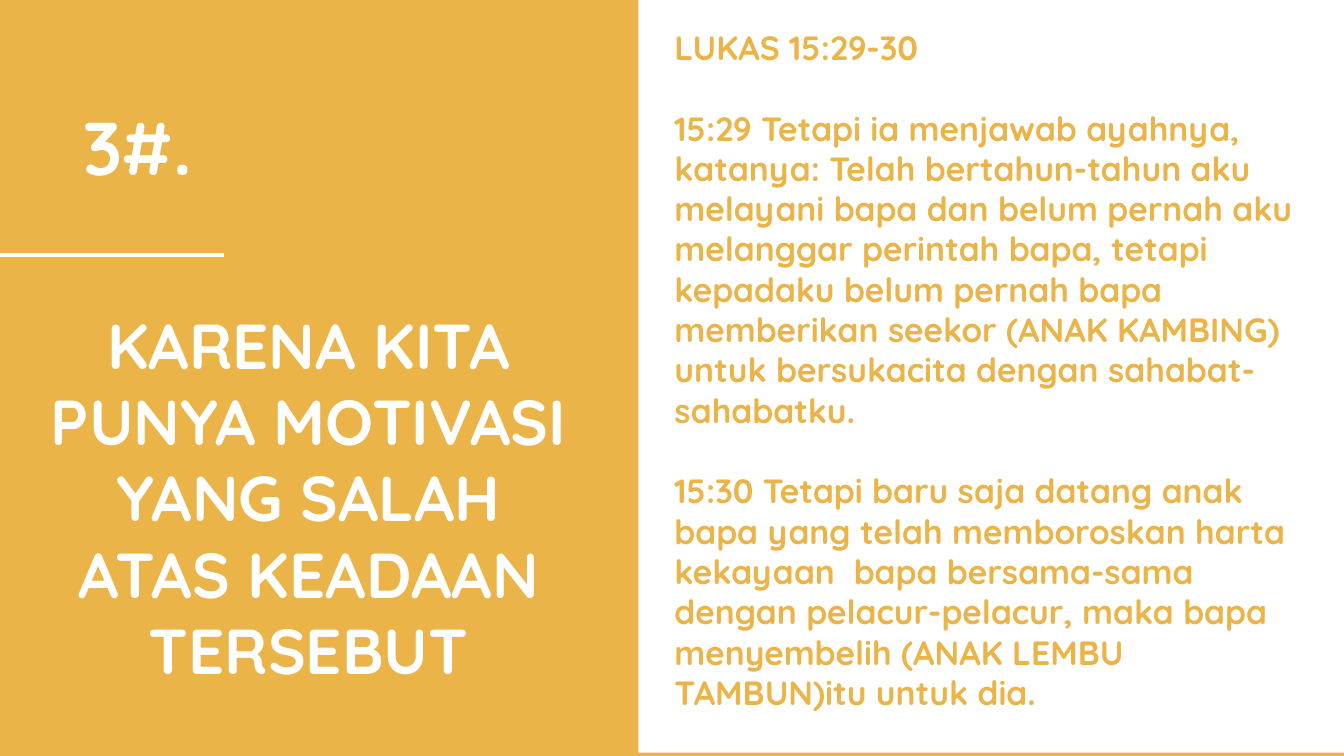
from lxml import etree
from pptx import Presentation
from pptx.dml.color import RGBColor
from pptx.enum.shapes import MSO_CONNECTOR, MSO_SHAPE
from pptx.enum.text import MSO_ANCHOR, PP_ALIGN
from pptx.oxml.ns import qn
from pptx.util import Inches, Pt

RECT = MSO_SHAPE.RECTANGLE
STRAIGHT = MSO_CONNECTOR.STRAIGHT
TOP = MSO_ANCHOR.TOP
LEFT, CENTER = PP_ALIGN.LEFT, PP_ALIGN.CENTER

FONT = "Quicksand"
COLORS = {"gold": "EAB448", "white": "FFFFFF"}
VERSES = [
    "LUKAS 15:29-30",
    "15:29 Tetapi ia menjawab ayahnya, katanya: Telah bertahun-tahun aku "
    "melayani bapa dan belum pernah aku melanggar perintah bapa, tetapi "
    "kepadaku belum pernah bapa memberikan seekor (ANAK KAMBING) untuk "
    "bersukacita dengan sahabat-sahabatku.",
    "15:30 Tetapi baru saja datang anak bapa yang telah memboroskan harta "
    "kekayaan  bapa bersama-sama dengan pelacur-pelacur, maka bapa "
    "menyembelih (ANAK LEMBU TAMBUN)itu untuk dia.",
]


def color(name):
    """Return the named palette colour."""
    return RGBColor.from_string(COLORS[name])


def add_panel(s, x, y, w, h, fill):
    """Add a plain filled rectangle."""
    sp = s.shapes.add_shape(RECT, Inches(x), Inches(y), Inches(w), Inches(h))
    sp.shadow.inherit = False
    sp.fill.solid()
    sp.fill.fore_color.rgb = color(fill)
    sp.line.fill.background()


def add_rule(s, x1, x2, y, line, width):
    """Add a horizontal line without a shadow."""
    sp = s.shapes.add_connector(
        STRAIGHT, Inches(x1), Inches(y), Inches(x2), Inches(y))
    sp.line.color.rgb = color(line)
    sp.line.width = Pt(width)
    etree.SubElement(sp._element.spPr, qn("a:effectLst"))


def add_text(s, x, y, w, h, texts, size, font_color,
             align=LEFT, gap=0, wrap=True):
    """Add bold paragraphs with a gap in points between them."""
    sp = s.shapes.add_textbox(Inches(x), Inches(y), Inches(w), Inches(h))
    tf = sp.text_frame
    tf.word_wrap = wrap
    tf.vertical_anchor = TOP
    tf.text = "\n".join(texts)
    for i, p in enumerate(tf.paragraphs):
        p.alignment = align
        p.space_before = Pt(gap if i else 0)
        for r in p.runs:
            r.font.name = FONT
            r.font.size = Pt(size)
            r.font.bold = True
            r.font.color.rgb = color(font_color)


def main():
    """Build the 16:9 slide and save it."""
    prs = Presentation()
    prs.slide_width, prs.slide_height = Inches(10), Inches(10 * 9 / 16)
    s = prs.slides.add_slide(prs.slide_layouts[6])
    s.background.fill.solid()
    s.background.fill.fore_color.rgb = color("gold")

    add_panel(s, 4.75, 0, 5.25, 5.6, "white")
    add_rule(s, 0, 1.67, 1.9, "white", 2.25)
    add_text(s, 0.17, 2.23, 4.25, 2.96,
             ["KARENA KITA PUNYA MOTIVASI YANG SALAH ATAS KEADAAN TERSEBUT"],
             34, "white", align=CENTER)
    add_text(s, 4.92, 0.15, 5, 5.25, VERSES, 18, "gold", gap=21.6)
    add_text(s, 0.52, 0.7, 1.17, 0.77, ["3#."], 40, "white", wrap=False)
    prs.save("out.pptx")


if __name__ == "__main__":
    main()
